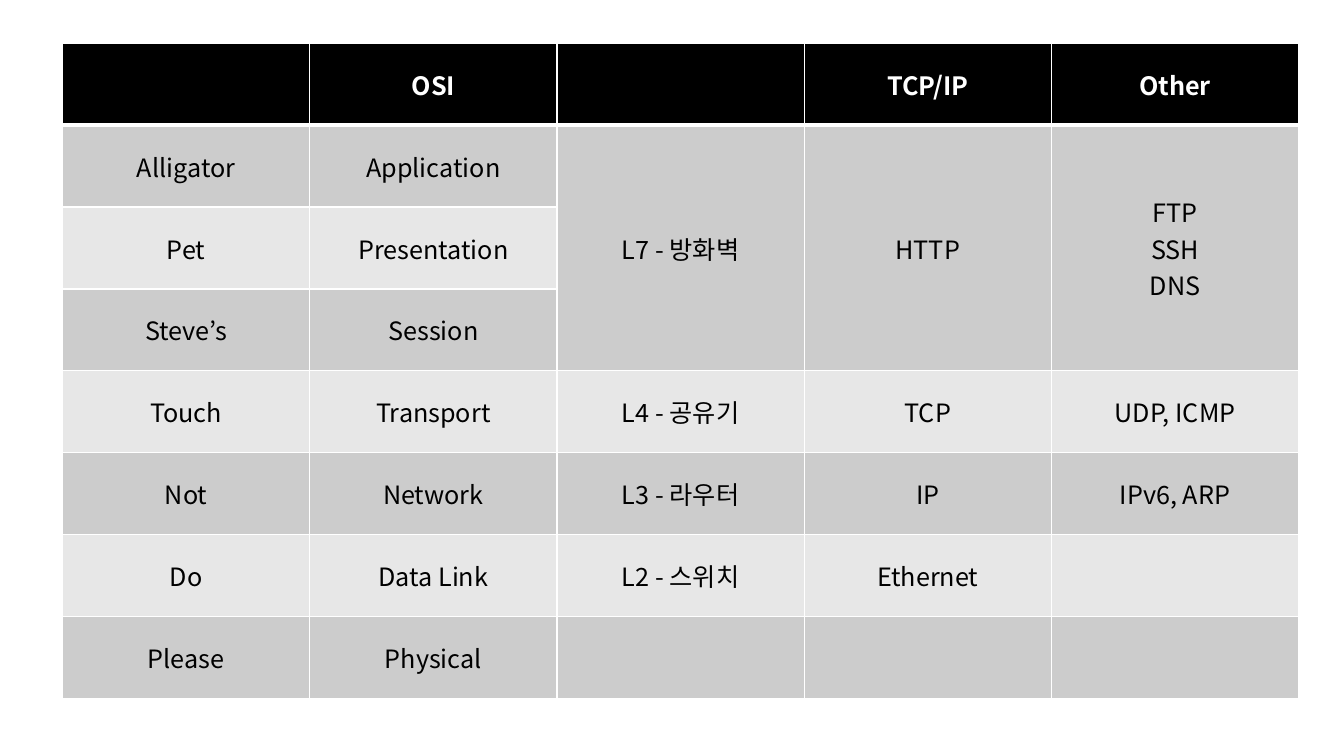
from lxml.etree import SubElement
from pptx import Presentation
from pptx.dml.color import RGBColor as RGB
from pptx.enum.text import MSO_ANCHOR as Anchor, PP_ALIGN as Align
from pptx.oxml.ns import qn
from pptx.util import Pt

PX = 9144  # 100 px to the inch
FONT = "Noto Sans CJK KR"
COLORS = {"header": "000000", "odd": "CCCCCC", "even": "E7E7E7",
          "line": "FFFFFF", "header_text": "FFFFFF", "text": "000000"}
LAYERS = [
    ["", "OSI", "", "TCP/IP", "Other"],
    ["Alligator", "Application", "L7 - 방화벽", "HTTP", "FTP\nSSH\nDNS"],
    ["Pet", "Presentation", "", "", ""],
    ["Steve’s", "Session", "", "", ""],
    ["Touch", "Transport", "L4 - 공유기", "TCP", "UDP, ICMP"],
    ["Not", "Network", "L3 - 라우터", "IP", "IPv6, ARP"],
    ["Do", "Data Link", "L2 - 스위치", "Ethernet", ""],
    ["Please", "Physical", "", "", ""],
]


def add_border(cell, side, points):
    line = SubElement(cell._tc.get_or_add_tcPr(), qn(f"a:ln{side}"), w=str(Pt(points)))
    fill = SubElement(line, qn("a:solidFill"))
    SubElement(fill, qn("a:srgbClr"), val=COLORS["line"])


# Slide
deck = Presentation()
deck.slide_width, deck.slide_height = 1333 * PX, 750 * PX
page = deck.slides.add_slide(deck.slide_layouts[6])

# Table of network layers
table = page.shapes.add_table(len(LAYERS), len(LAYERS[0]),
                              62 * PX, 43 * PX, 1226 * PX, 650 * PX).table

# The top three layers share one cell in each of the last three columns
for column in range(2, 5):
    table.cell(1, column).merge(table.cell(3, column))

# Cells
for row, texts in enumerate(LAYERS):
    band = "header" if row == 0 else "odd" if row % 2 else "even"
    text_color = COLORS["header_text" if row == 0 else "text"]
    for column, text in enumerate(texts):
        cell = table.cell(row, column)
        for side in "LRTB":
            under_header = (row, side) in [(0, "B"), (1, "T")]
            add_border(cell, side, 3 if under_header else 1)
        cell.fill.solid()
        cell.fill.fore_color.rgb = RGB.from_string(COLORS[band])
        cell.vertical_anchor = Anchor.MIDDLE
        cell.text_frame.text = text
        for para in cell.text_frame.paragraphs:
            para.alignment = Align.CENTER
            for span in para.runs:
                span.font.size = Pt(18)
                span.font.bold = row == 0
                span.font.color.rgb = RGB.from_string(text_color)
                span.font.name = FONT
                # Hangul takes its font from the East Asian slot
                SubElement(span.font._element, qn("a:ea"), typeface=FONT)

deck.save("out.pptx")
